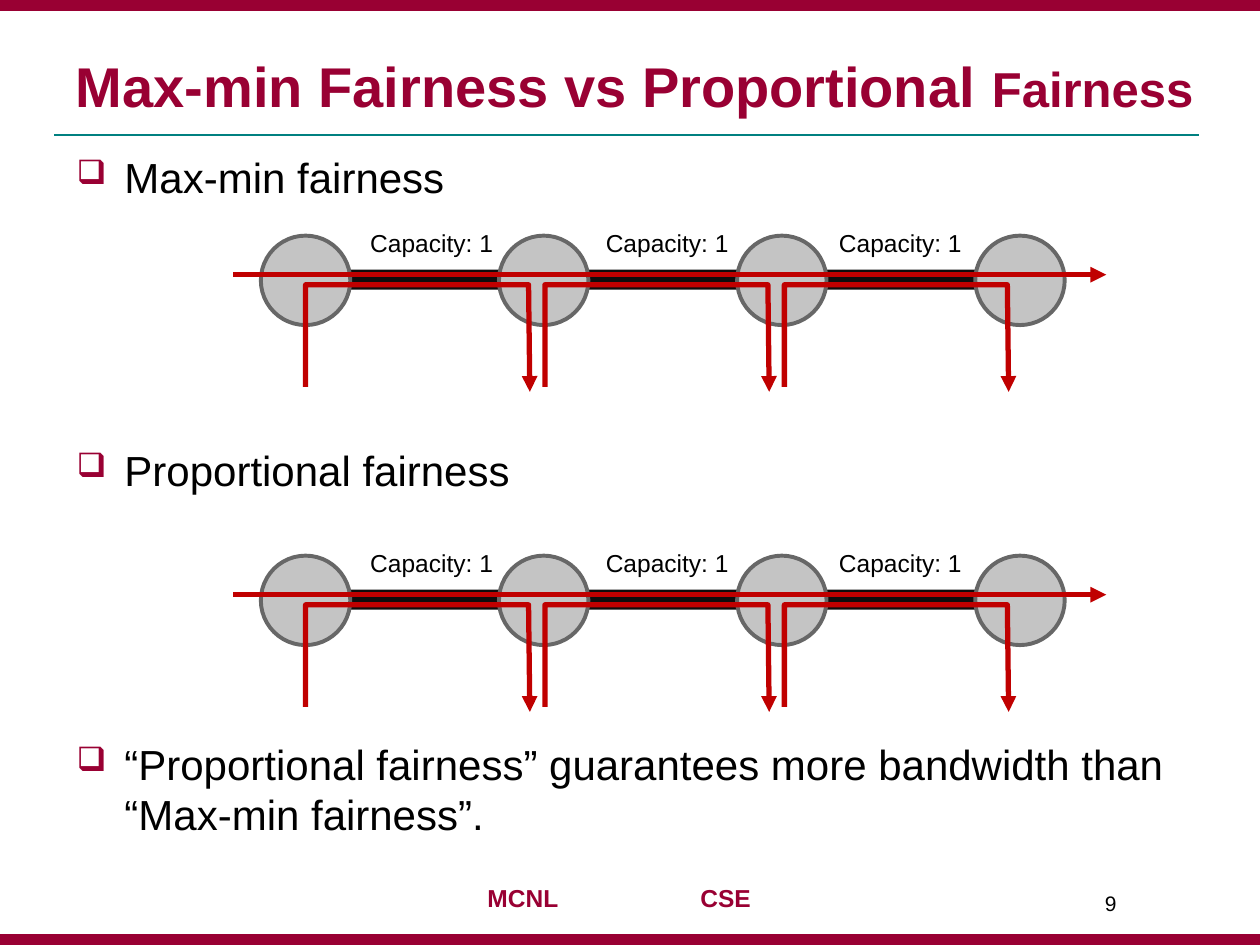
from dataclasses import dataclass

from lxml.etree import SubElement
from pptx import Presentation
from pptx.dml.color import RGBColor
from pptx.enum.shapes import MSO_CONNECTOR, MSO_SHAPE
from pptx.enum.text import MSO_ANCHOR, MSO_AUTO_SIZE, PP_ALIGN
from pptx.oxml.ns import qn
from pptx.util import Inches, Pt


@dataclass(frozen=True)
class Theme:
    """Fonts, colours and type sizes of the slide."""

    font: str = "Arial"
    crimson: str = "990033"
    teal: str = "008080"
    ink: str = "000000"
    link: str = "0D0D0D"
    node: str = "C4C4C4"
    node_edge: str = "676767"
    flow: str = "C00000"
    title: int = 32
    title_small: int = 28
    body: int = 24
    label: int = 14
    number: int = 12


@dataclass(frozen=True)
class Network:
    """Chain of nodes whose circles start at the given top."""

    top: float
    left: float = 2.07
    nodes: int = 4
    pitch: float = 1.89
    diameter: float = 0.71
    label_lefts: tuple = (2.84, 4.71, 6.56)


THEME = Theme()
NETWORKS = (Network(top=1.87), Network(top=4.41))
STATEMENTS = (
    "Max-min fairness",
    "Proportional fairness",
    "“Proportional fairness” guarantees more bandwidth than “Max-min fairness”.",
)


def rgb(color: str) -> RGBColor:
    """Turn a hex string into a colour."""
    return RGBColor.from_string(color)


def write(paragraph, text: str, *, size: int, color: str = THEME.ink, bold: bool = False) -> None:
    """Add a formatted run to a paragraph."""
    run = paragraph.add_run()
    run.text = text
    run.font.name = THEME.font
    run.font.size = Pt(size)
    run.font.bold = bold
    run.font.color.rgb = rgb(color)


def add_box(shapes, left: float, top: float, width: float, height: float):
    """Add a wrapping text box and return its frame."""
    frame = shapes.add_textbox(Inches(left), Inches(top), Inches(width), Inches(height)).text_frame
    frame.word_wrap = True
    return frame


def add_solid(shapes, preset, left: float, top: float, width: float, height: float,
              *, fill: str, edge: str = "", weight: float = 0.75) -> None:
    """Add a filled preset shape, outlined when an edge colour is given."""
    solid = shapes.add_shape(preset, Inches(left), Inches(top), Inches(width), Inches(height))
    solid.shadow.inherit = False
    solid.fill.solid()
    solid.fill.fore_color.rgb = rgb(fill)
    if edge:
        solid.line.color.rgb = rgb(edge)
        solid.line.width = Pt(weight)
    else:
        solid.line.fill.background()


def style_line(stroke, color: str, weight: float, arrow: bool = False) -> None:
    """Colour a line and optionally end it with a triangle."""
    stroke.line.color.rgb = rgb(color)
    stroke.line.width = Pt(weight)
    if arrow:
        SubElement(stroke.line._get_or_add_ln(), qn("a:tailEnd"), type="triangle")


def add_line(shapes, start: tuple, end: tuple, color: str, weight: float, arrow: bool = False) -> None:
    """Add a straight connector without a shadow."""
    connector = shapes.add_connector(MSO_CONNECTOR.STRAIGHT, *map(Inches, start + end))
    style_line(connector, color, weight, arrow)
    SubElement(connector._element.spPr, qn("a:effectLst"))


def add_hop(shapes, left: float, top: float) -> None:
    """Add a flow that enters one link from below and leaves at its end."""
    points = [(left, top + 0.81), (left, top), (left + 1.77, top), (left + 1.78, top + 0.85)]
    start, *rest = [(Inches(x), Inches(y)) for x, y in points]
    builder = shapes.build_freeform(*start)
    builder.add_line_segments(rest, close=False)
    hop = builder.convert_to_shape()
    hop.shadow.inherit = False
    hop.fill.background()
    style_line(hop, THEME.flow, 3, arrow=True)


def add_network(slide, network: Network) -> None:
    """Draw links, nodes, flows and capacity labels as one group."""
    shapes = slide.shapes.add_group_shape().shapes
    center = network.left + network.diameter / 2
    add_solid(shapes, MSO_SHAPE.RECTANGLE, center, network.top + 0.27, 5.4, 0.16, fill=THEME.link)
    for index in range(network.nodes):
        add_solid(shapes, MSO_SHAPE.OVAL, network.left + index * network.pitch, network.top,
                  network.diameter, network.diameter,
                  fill=THEME.node, edge=THEME.node_edge, weight=2.25)
    flow_top = network.top + 0.31
    add_line(shapes, (1.85, flow_top), (8.78, flow_top), THEME.flow, 3, arrow=True)
    for index, label_left in enumerate(network.label_lefts):
        add_hop(shapes, center + index * 1.9, network.top + 0.39)
        label = add_box(shapes, label_left, network.top - 0.11, 1.26, 0.34)
        write(label.paragraphs[0], "Capacity: 1", size=THEME.label)


def add_title(slide) -> None:
    """Place and fill the title."""
    title = slide.shapes.title
    title.left, title.top, title.width, title.height = map(Inches, (0.5, 0.25, 9.07, 0.74))
    frame = title.text_frame
    frame.auto_size = MSO_AUTO_SIZE.NONE
    frame.vertical_anchor = MSO_ANCHOR.BOTTOM
    frame.margin_left = Inches(0.05)
    heading = frame.paragraphs[0]
    heading.alignment = PP_ALIGN.RIGHT
    for text, size in (("Max-min Fairness vs Proportional ", THEME.title),
                       ("Fairness", THEME.title_small)):
        write(heading, text, size=size, color=THEME.crimson, bold=True)


def add_statements(slide) -> None:
    """Add the bulleted statements, spaced to leave room for the networks."""
    frame = add_box(slide.shapes, 0.51, 1.15, 9, 6.46)
    for index, statement in enumerate(STATEMENTS):
        bullet = frame.add_paragraph() if index else frame.paragraphs[0]
        properties = bullet._p.get_or_add_pPr()
        properties.set("marL", str(Inches(0.38)))
        properties.set("indent", str(Inches(-0.38)))
        SubElement(SubElement(properties, qn("a:buClr")), qn("a:srgbClr"), val=THEME.crimson)
        SubElement(properties, qn("a:buSzPct"), val="80000")
        SubElement(properties, qn("a:buChar"), char="❑")
        if index:
            bullet.space_before = Pt(139)
        write(bullet, statement, size=THEME.body)


def add_frame(slide) -> None:
    """Add the title rule, edge bars, footer and slide number."""
    add_line(slide.shapes, (0.43, 1.07), (9.52, 1.07), THEME.teal, 1)
    for bar_top in (0, 7.42):
        add_solid(slide.shapes, MSO_SHAPE.RECTANGLE, 0, bar_top, 10, 0.08,
                  fill=THEME.crimson, edge=THEME.crimson)
    footer = add_box(slide.shapes, 3.77, 6.96, 2.31, 0.34).paragraphs[0]
    tabs = SubElement(footer._p.get_or_add_pPr(), qn("a:tabLst"))
    SubElement(tabs, qn("a:tab"), pos=str(Inches(1.69)), algn="l")
    write(footer, "MCNL\tCSE", size=THEME.label, color=THEME.crimson, bold=True)
    number = add_box(slide.shapes, 8.67, 7.02, 0.83, 0.4)
    write(number.paragraphs[0], "9", size=THEME.number)


def main() -> None:
    """Build and save the slide."""
    deck = Presentation()
    deck.slide_width, deck.slide_height = Inches(10), Inches(7.5)
    slide = deck.slides.add_slide(deck.slide_layouts.get_by_name("Title Only"))
    add_frame(slide)
    add_title(slide)
    add_statements(slide)
    for network in NETWORKS:
        add_network(slide, network)
    deck.save("out.pptx")


if __name__ == "__main__":
    main()
